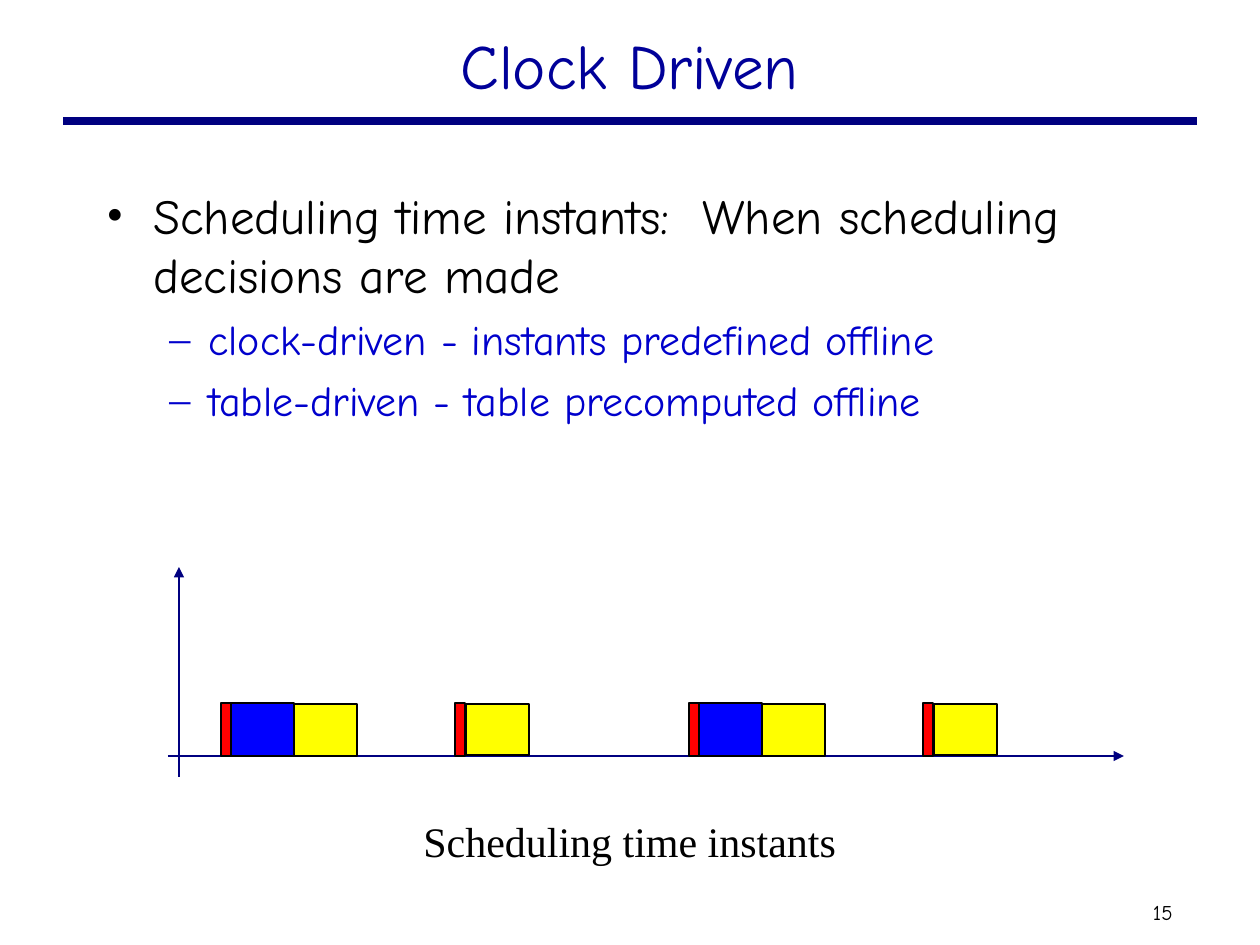
from lxml import etree
from pptx import Presentation
from pptx.dml.color import RGBColor
from pptx.enum.shapes import MSO_CONNECTOR as CONN, MSO_SHAPE as SHAPE
from pptx.enum.text import MSO_ANCHOR as ANCHOR, PP_ALIGN as ALIGN
from pptx.oxml.ns import qn
from pptx.util import Emu, Pt

PX = 914400 / 126
NAVY = "000080"
COMIC = "Comic Neue"


def px(*lengths):
    return [Emu(round(v * PX)) for v in lengths]


def rgb(color):
    return RGBColor.from_string(color)


prs = Presentation()
prs.slide_width, prs.slide_height = px(1260, 945)
s = prs.slides.add_slide(prs.slide_layouts[6])

lines = [
    ((63, 121, 1197, 121), 4.5, False),
    ((168, 756, 1124, 756), 1.5, True),
    ((179, 777, 179, 567), 1.5, True),
]
for ends, width, arrow in lines:
    sp = s.shapes.add_connector(CONN.STRAIGHT, *px(*ends))
    sp.line.color.rgb = rgb(NAVY)
    sp.line.width = Pt(width)
    if arrow:
        ln = sp.line._get_or_add_ln()
        etree.SubElement(ln, qn("a:tailEnd"), type="triangle")
    etree.SubElement(sp._element.spPr, qn("a:effectLst"))

heading = dict(size=36, font=COMIC, color="000099", align=ALIGN.CENTER)
point = dict(size=28, font=COMIC, color="000000", bullet="•", indent=(47, -47), before=7)
subpoint = dict(size=24, font=COMIC, color="0000CC", bullet="–", indent=(102, -39), before=6)
caption = dict(size=24, font="Times New Roman", color="000000")
number = dict(size=12, font=COMIC, color="000000")

boxes = [
    ((94, 10, 1071, 108), dict(vertical_anchor=ANCHOR.MIDDLE, word_wrap=True),
     [("Clock Driven", heading)]),
    ((94, 179, 1071, 357), dict(word_wrap=True), [
        ("Scheduling time instants:  When scheduling decisions are made", point),
        ("clock-driven - instants predefined offline", subpoint),
        ("table-driven - table precomputed offline", subpoint),
    ]),
    ((411, 809, 438, 63), dict(word_wrap=False), [("Scheduling time instants", caption)]),
    ((1147, 893, 59, 38),
     dict(vertical_anchor=ANCHOR.MIDDLE, word_wrap=True, margin_left=px(6)[0], margin_right=px(6)[0]),
     [("15", number)]),
]
for place, frame, paragraphs in boxes:
    tf = s.shapes.add_textbox(*px(*place)).text_frame
    for name, value in frame.items():
        setattr(tf, name, value)
    for i, (text, style) in enumerate(paragraphs):
        p = tf.add_paragraph() if i else tf.paragraphs[0]
        r = p.add_run()
        r.text = text
        for name, value in dict(size=Pt(style["size"]), name=style["font"]).items():
            setattr(r.font, name, value)
        r.font.color.rgb = rgb(style["color"])
        p.alignment = style.get("align", ALIGN.LEFT)
        if "bullet" in style:
            p.space_before = Pt(style["before"])
            pPr = p._p.get_or_add_pPr()
            for name, value in zip(("marL", "indent"), px(*style["indent"])):
                pPr.set(name, str(value))
            clr = etree.SubElement(pPr, qn("a:buClr"))
            etree.SubElement(clr, qn("a:srgbClr"), val=style["color"])
            etree.SubElement(pPr, qn("a:buFont"), typeface="Times New Roman")
            etree.SubElement(pPr, qn("a:buChar"), char=style["bullet"])

bars = []
for i in range(4):
    x = 221 + 234 * i
    bars.append(((x, 703, 10, 53), "FF0000"))
    if i % 2 == 0:
        bars.append(((x + 10, 703, 63, 53), "0000FF"))
        bars.append(((x + 73, 704, 63, 52), "FFFF00"))
    else:
        bars.append(((x + 11, 704, 63, 51), "FFFF00"))
for place, color in bars:
    sp = s.shapes.add_shape(SHAPE.RECTANGLE, *px(*place))
    sp.shadow.inherit = False
    sp.fill.solid()
    sp.fill.fore_color.rgb = rgb(color)
    sp.line.color.rgb = rgb("000000")
    sp.line.width = Pt(0.75)

prs.save("out.pptx")
